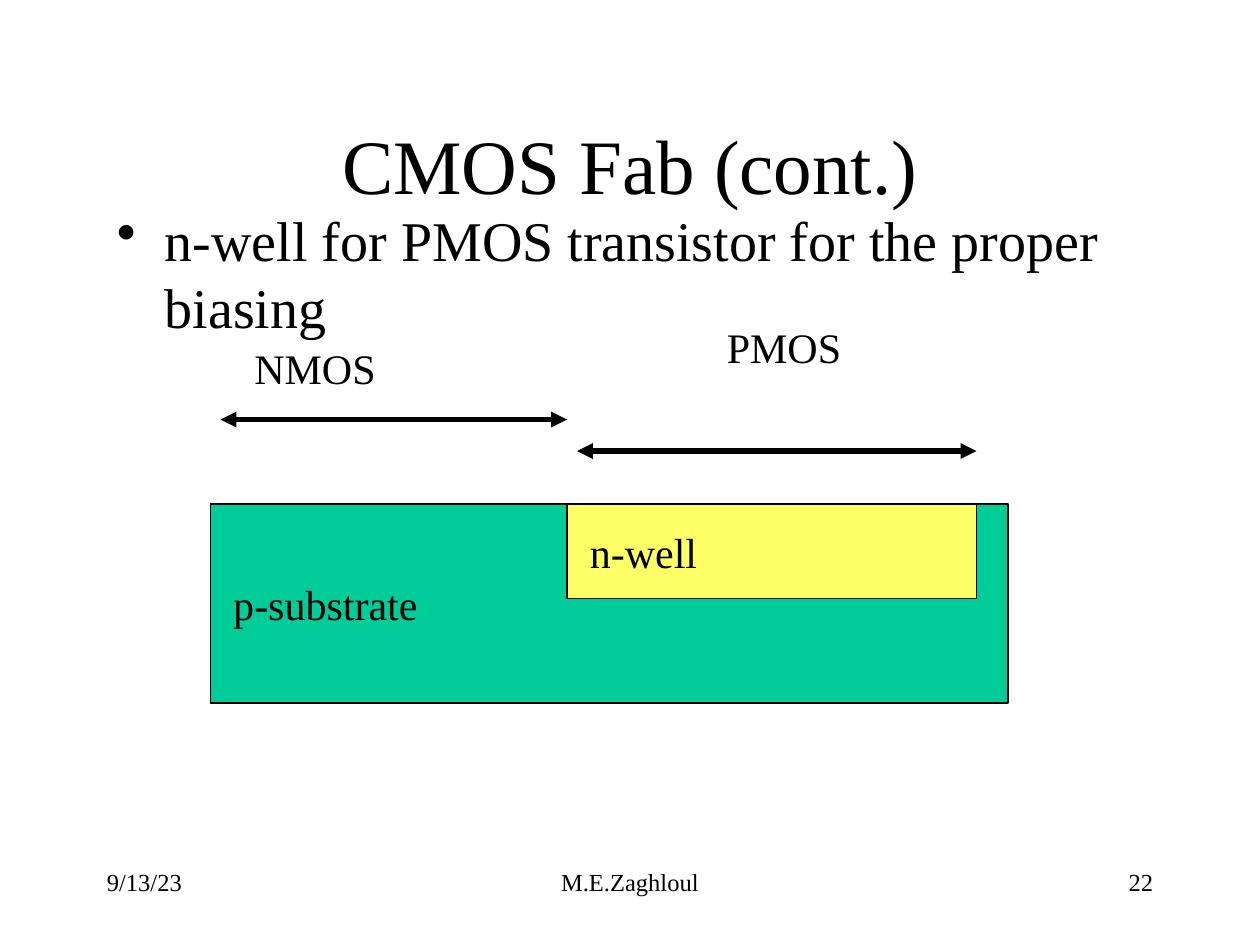
from pptx import Presentation
from pptx.dml.color import RGBColor
from pptx.enum.shapes import MSO_CONNECTOR as CONN, MSO_SHAPE as SHAPE
from pptx.enum.text import MSO_ANCHOR as ANCHOR, PP_ALIGN as ALIGN
from pptx.oxml.ns import qn
from pptx.util import Inches, Pt
from lxml.etree import SubElement

FONT = "Times New Roman"


def color(value):
    """Turn a hex string into a colour."""
    return RGBColor.from_string(value)


def write(tf, text, size, align=ALIGN.LEFT, anchor=ANCHOR.TOP, wrap=True):
    """Write one run into a text frame and return its paragraph."""
    tf.word_wrap = wrap
    tf.vertical_anchor = anchor
    p = tf.paragraphs[0]
    p.alignment = align
    r = p.add_run()
    r.text = text
    r.font.name = FONT
    r.font.size = Pt(size)
    r.font.color.rgb = color("000000")
    return p


def add_text(s, box, text, size, **options):
    """Add a text box and return its paragraph."""
    sp = s.shapes.add_textbox(*map(Inches, box))
    return write(sp.text_frame, text, size, **options)


def add_layer(s, box, text, fill):
    """Add one labelled layer of the cross-section."""
    sp = s.shapes.add_shape(SHAPE.RECTANGLE, *map(Inches, box))
    sp.shadow.inherit = False
    sp.fill.solid()
    sp.fill.fore_color.rgb = color(fill)
    sp.line.color.rgb = color("000000")
    sp.line.width = Pt(0.75)
    write(sp.text_frame, text, 24, anchor=ANCHOR.MIDDLE, wrap=False)


def add_span(s, x1, x2, y):
    """Add a horizontal double-headed arrow."""
    line = s.shapes.add_connector(CONN.STRAIGHT, *map(Inches, (x1, y, x2, y)))
    line.line.color.rgb = color("000000")
    line.line.width = Pt(3)
    ln = line.line._get_or_add_ln()
    for end in ("a:headEnd", "a:tailEnd"):
        SubElement(ln, qn(end), type="triangle")
    SubElement(line._element.spPr, qn("a:effectLst"))


def add_bullet(s, box, text):
    """Add the bulleted body text."""
    pPr = add_text(s, box, text, 32)._p.get_or_add_pPr()
    pPr.set("marL", str(Inches(0.38)))
    pPr.set("indent", str(-Inches(0.38)))
    SubElement(pPr, qn("a:buChar"), char="•")


def add_cross_section(s, x, y, w, h):
    """Draw the substrate, its well and the spans of both transistors."""
    well_x, well_w = x + 2.83, 3.25
    well_end = well_x + well_w
    add_layer(s, (x, y, w, h), " p-substrate", "00CC99")
    add_layer(s, (well_x, y, well_w, 0.75), " n-well", "FFFF66")
    add_span(s, well_x + 0.08, well_end, y - 0.42)
    add_span(s, x + 0.08, well_x, y - 0.67)
    add_text(s, (x + 4, y - 1.5, 1.67, 0.5), "PMOS", 24)
    add_text(s, (x + 0.25, y - 1.33, 2, 0.5), "NMOS", 24)


def add_footer(s, x, y, w, h):
    """Place the date, author and slide number along the bottom."""
    side, mid = 2.08, 3.17
    parts = (
        (x, side, "9/13/23", ALIGN.LEFT),
        (x + (w - mid) / 2, mid, "M.E.Zaghloul", ALIGN.CENTER),
        (x + w - side, side, "22", ALIGN.RIGHT),
    )
    for left, width, text, align in parts:
        add_text(s, (left, y, width, h), text, 14, align=align)


def main():
    """Build and save the slide."""
    prs = Presentation()
    prs.slide_width, prs.slide_height = Inches(10), Inches(7.5)
    s = prs.slides.add_slide(prs.slide_layouts[6])
    add_footer(s, 0.75, 6.83, 8.5, 0.5)
    add_text(s, (0.75, 0.67, 8.5, 1.25), "CMOS Fab (cont.)", 44,
             align=ALIGN.CENTER, anchor=ANCHOR.MIDDLE)
    add_bullet(s, (0.83, 1.58, 8.5, 4.5),
               "n-well for PMOS transistor for the proper biasing")
    add_cross_section(s, 1.67, 4, 6.33, 1.58)
    prs.save("out.pptx")


if __name__ == "__main__":
    main()
